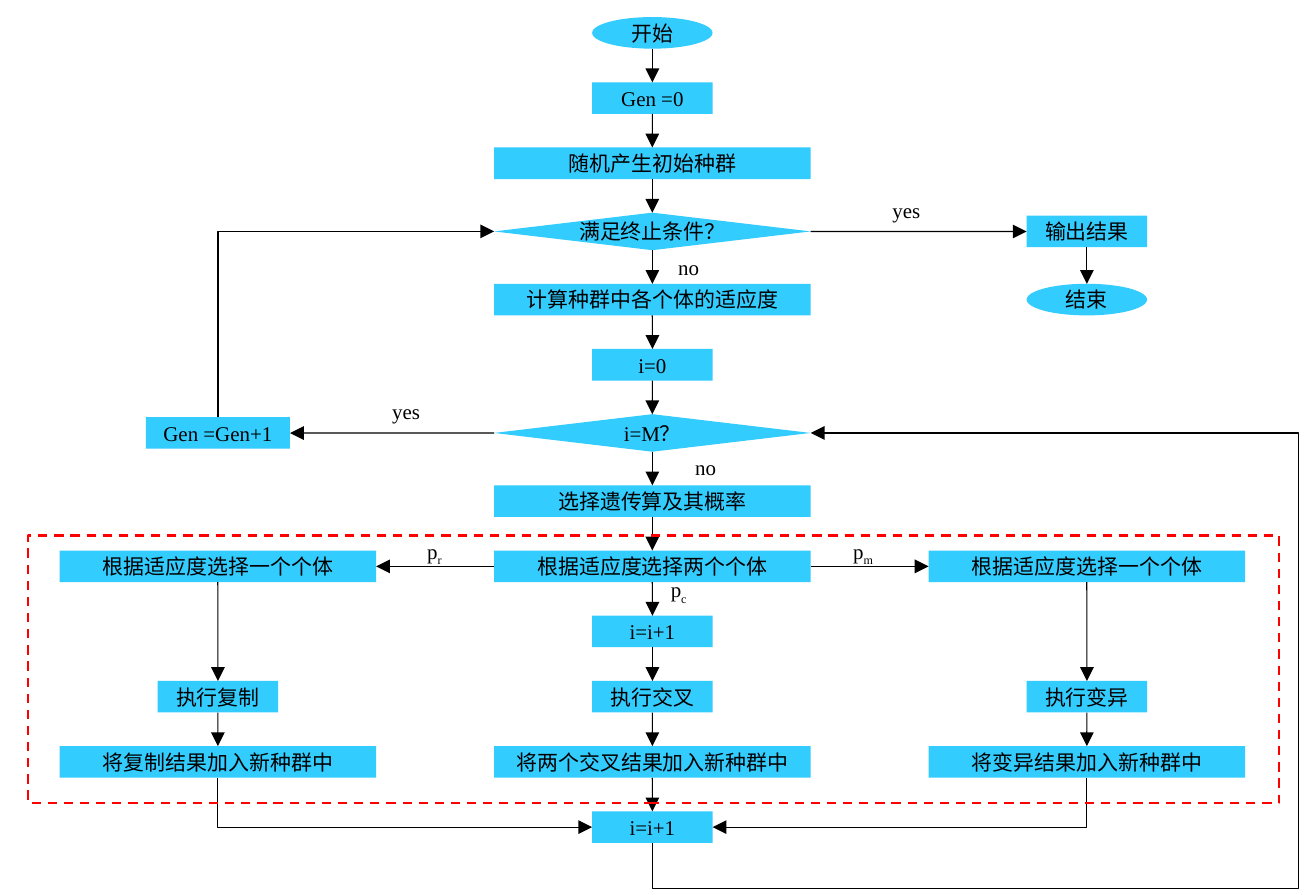
"""Build a one-slide flowchart of a genetic algorithm."""
import pptx
import pptx.dml.color
import pptx.enum.dml
import pptx.enum.shapes
import pptx.enum.text
import pptx.oxml
import pptx.oxml.ns
import pptx.util
from pptx.util import Cm

SHAPE = pptx.enum.shapes.MSO_SHAPE
CONNECTOR = pptx.enum.shapes.MSO_CONNECTOR
ALIGN = pptx.enum.text.PP_ALIGN
ANCHOR = pptx.enum.text.MSO_ANCHOR

THEME = {"box": "33CCFF", "ink": "000000", "frame": "FF0000",
         "font": "Times New Roman", "size": 9, "line": 0.5, "frame_line": 1}

SLIDE = (19.99, 13.59)
COLUMNS = {"left": 3.31, "mid": 9.91, "right": 16.51}
FIRST_TOP, GAP = 0.26, 0.51
BOX_H, DIAMOND_H = 0.48, 0.57
WIDE, NARROW, COUNTER = 4.81, 1.83, 2.19
FRAME = (0.43, 8.13, 19, 4.07)
LOOP_LANE = (19.73, 13.49)

MAIN_FLOW = [
    ("start", "开始", SHAPE.OVAL, NARROW),
    ("gen_zero", "Gen =0", SHAPE.RECTANGLE, NARROW),
    ("populate", "随机产生初始种群", SHAPE.RECTANGLE, WIDE),
    ("finished", "满足终止条件？", SHAPE.DIAMOND, WIDE),
    ("fitness", "计算种群中各个体的适应度", SHAPE.RECTANGLE, WIDE),
    ("i_zero", "i=0", SHAPE.RECTANGLE, NARROW),
    ("is_full", "i=M？", SHAPE.DIAMOND, WIDE),
    ("operator", "选择遗传算及其概率", SHAPE.RECTANGLE, WIDE),
    ("pick_two", "根据适应度选择两个个体", SHAPE.RECTANGLE, WIDE),
    ("i_cross", "i=i+1", SHAPE.RECTANGLE, NARROW),
    ("cross", "执行交叉", SHAPE.RECTANGLE, NARROW),
    ("add_cross", "将两个交叉结果加入新种群中", SHAPE.RECTANGLE, WIDE),
    ("i_next", "i=i+1", SHAPE.RECTANGLE, NARROW),
]

SIDE_STEPS = [
    ("pick_copy", "根据适应度选择一个个体", SHAPE.RECTANGLE, WIDE, "left", "pick_two"),
    ("copy", "执行复制", SHAPE.RECTANGLE, NARROW, "left", "cross"),
    ("add_copy", "将复制结果加入新种群中", SHAPE.RECTANGLE, WIDE, "left", "add_cross"),
    ("pick_mutant", "根据适应度选择一个个体", SHAPE.RECTANGLE, WIDE, "right", "pick_two"),
    ("mutate", "执行变异", SHAPE.RECTANGLE, NARROW, "right", "cross"),
    ("add_mutant", "将变异结果加入新种群中", SHAPE.RECTANGLE, WIDE, "right", "add_cross"),
    ("gen_next", "Gen =Gen+1", SHAPE.RECTANGLE, COUNTER, "left", "is_full"),
    ("output", "输出结果", SHAPE.RECTANGLE, NARROW, "right", "finished"),
    ("end", "结束", SHAPE.OVAL, NARROW, "right", "fitness"),
]

SIDE_ARROWS = [
    ("is_full", "left", "gen_next", "right"),
    ("pick_two", "left", "pick_copy", "right"),
    ("pick_two", "right", "pick_mutant", "left"),
    ("finished", "right", "output", "left"),
    ("pick_copy", "bottom", "copy", "top"),
    ("copy", "bottom", "add_copy", "top"),
    ("pick_mutant", "bottom", "mutate", "top"),
    ("mutate", "bottom", "add_mutant", "top"),
    ("output", "bottom", "end", "top"),
]

ELBOWS = [
    ("add_copy", "bottom", "i_next", "left", None),
    ("add_mutant", "bottom", "i_next", "right", None),
    ("gen_next", "top", "finished", "left", None),
    ("i_next", "bottom", "is_full", "right", LOOP_LANE),
]

LABEL_W = 1.32
LABELS = [
    ("yes", "", 6.17, 6.24, 0.74), ("no", "", 10.72, 7.1, 0.43),
    ("p", "r", 6.6, 8.39, 0.43), ("p", "m", 13.11, 8.39, 0.43),
    ("p", "c", 10.31, 8.98, 0.43), ("no", "", 10.46, 4.05, 0.43),
    ("yes", "", 13.77, 3.19, 0.74),
]

SIDES = {"top": (0, 0, -0.5), "left": (1, -0.5, 0),
         "bottom": (2, 0, 0.5), "right": (3, 0.5, 0)}


def rgb(name):
    """Return a theme colour."""
    return pptx.dml.color.RGBColor.from_string(THEME[name])


def write(sp, text, sub="", size=THEME["size"], font=THEME["font"], color="ink"):
    """Centre text in a shape, with an optional subscript."""
    tf = sp.text_frame
    tf.word_wrap = True
    tf.vertical_anchor = ANCHOR.MIDDLE
    tf.margin_left = tf.margin_right = tf.margin_top = tf.margin_bottom = 0
    p = tf.paragraphs[0]
    p.alignment = ALIGN.CENTER
    for part, baseline in ((text, None), (sub, "-25000")):
        if part:
            r = p.add_run()
            r.text = part
            r.font.size = pptx.util.Pt(size)
            r.font.name = font
            r.font.color.rgb = rgb(color)
            if baseline:
                r._r.get_or_add_rPr().set("baseline", baseline)


def add_box(s, kind, cx, cy, w, h, fill=None):
    """Add an unoutlined shape around a centre point."""
    sp = s.shapes.add_shape(kind, Cm(cx - w / 2), Cm(cy - h / 2), Cm(w), Cm(h))
    sp.shadow.inherit = False
    sp.line.fill.background()
    if fill:
        sp.fill.solid()
        sp.fill.fore_color.rgb = rgb(fill)
    else:
        sp.fill.background()
    return sp


def add_arrow(s, kind, x1, y1, x2, y2):
    """Add a connector that ends in an arrowhead."""
    c = s.shapes.add_connector(kind, Cm(x1), Cm(y1), Cm(x2), Cm(y2))
    c.line.color.rgb = rgb("ink")
    c.line.width = pptx.util.Pt(THEME["line"])
    ns = pptx.oxml.ns.nsdecls("a")
    c.get_or_add_ln().append(pptx.oxml.parse_xml(f'<a:tailEnd {ns} type="triangle"/>'))
    c.element.spPr.append(pptx.oxml.parse_xml(f"<a:effectLst {ns}/>"))
    return c


def add_elbow(s, x1, y1, x2, y2, lane):
    """Add a bent arrow that leaves vertically and arrives horizontally."""
    cx, cy, dx, dy = (x1 + x2) / 2, (y1 + y2) / 2, x2 - x1, y2 - y1
    c = add_arrow(s, CONNECTOR.ELBOW, cx - dy / 2, cy + dx / 2, cx + dy / 2, cy - dx / 2)
    qn, ns = pptx.oxml.ns.qn, pptx.oxml.ns.nsdecls("a")
    c.element.spPr.find(qn("a:xfrm")).set("rot", "5400000")
    geom = c.element.spPr.find(qn("a:prstGeom"))
    geom.set("prst", "bentConnector4" if lane else "bentConnector2")
    if lane:
        ratios = ((lane[1] - y1) / dy, (lane[0] - x1) / dx)
        for n, ratio in enumerate(ratios, 1):
            geom.find(qn("a:avLst")).append(pptx.oxml.parse_xml(
                f'<a:gd {ns} name="adj{n}" fmla="val {round(ratio * 100000)}"/>'))


def place_steps():
    """Return the kind, text and centred box of every step."""
    steps, top = {}, FIRST_TOP
    for key, text, kind, w in MAIN_FLOW:
        h = DIAMOND_H if kind == SHAPE.DIAMOND else BOX_H
        steps[key] = (kind, text, (COLUMNS["mid"], top + h / 2, w, h))
        top += h + GAP
    for key, text, kind, w, column, row in SIDE_STEPS:
        steps[key] = (kind, text, (COLUMNS[column], steps[row][2][1], w, BOX_H))
    return steps


def main():
    """Draw the flowchart and save it."""
    prs = pptx.Presentation()
    prs.slide_width, prs.slide_height = Cm(SLIDE[0]), Cm(SLIDE[1])
    s = prs.slides.add_slide(prs.slide_layouts[6])
    steps, boxes = place_steps(), {}
    for key, (kind, text, box) in steps.items():
        boxes[key] = add_box(s, kind, *box, fill="box")
        write(boxes[key], text)

    def point(key, side):
        """Return the middle of one side of a step."""
        cx, cy, w, h = steps[key][2]
        return cx + SIDES[side][1] * w, cy + SIDES[side][2] * h

    down = [(a[0], "bottom", b[0], "top") for a, b in zip(MAIN_FLOW, MAIN_FLOW[1:])]
    for a, side_a, b, side_b in down + SIDE_ARROWS:
        c = add_arrow(s, CONNECTOR.STRAIGHT, *point(a, side_a), *point(b, side_b))
        if steps[a][0] != SHAPE.OVAL:
            c.begin_connect(boxes[a], SIDES[side_a][0])
        c.end_connect(boxes[b], SIDES[side_b][0])
    for a, side_a, b, side_b, lane in ELBOWS:
        add_elbow(s, *point(a, side_a), *point(b, side_b), lane)

    for text, sub, cx, cy, h in LABELS:
        write(add_box(s, SHAPE.ROUNDED_RECTANGLE, cx, cy, LABEL_W, h), text, sub=sub)

    x, y, w, h = FRAME
    frame = add_box(s, SHAPE.RECTANGLE, x + w / 2, y + h / 2, w, h)
    frame.line.color.rgb = rgb("frame")
    frame.line.width = pptx.util.Pt(THEME["frame_line"])
    frame.line.dash_style = pptx.enum.dml.MSO_LINE.DASH
    prs.save("out.pptx")


if __name__ == "__main__":
    main()
